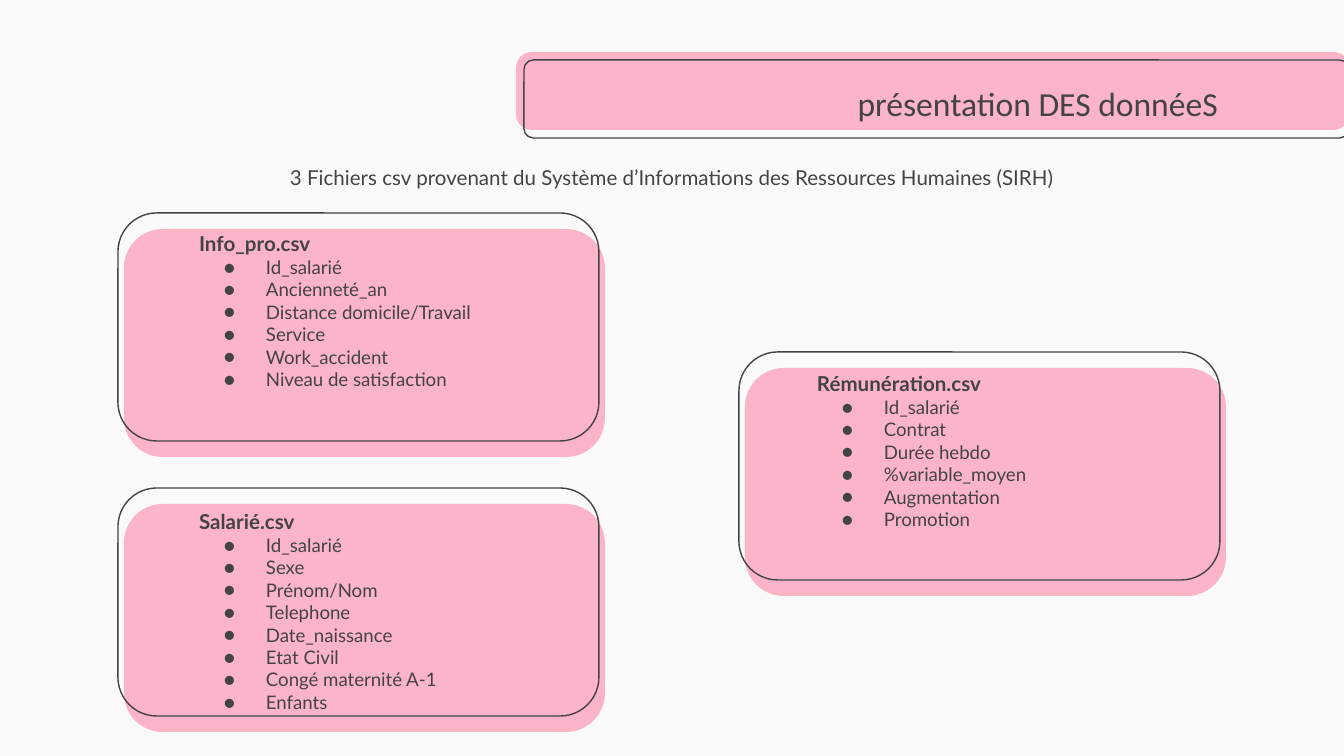
from dataclasses import dataclass

from lxml.etree import SubElement
from pptx import Presentation
from pptx.dml.color import RGBColor
from pptx.enum.shapes import MSO_SHAPE
from pptx.enum.text import MSO_ANCHOR, MSO_AUTO_SIZE, PP_ALIGN
from pptx.oxml.ns import qn
from pptx.util import Pt

# Content: lengths in px; "at" is the filled card, "text" its heading corner
TITLE = "présentation DES donnéeS"
SUBTITLE = "3 Fichiers csv provenant du Système d’Informations des Ressources Humaines (SIRH)"
FILES = [
    {"name": "Info_pro.csv", "at": (124, 229), "text": (199, 231),
     "fields": ["Id_salarié", "Ancienneté_an", "Distance domicile/Travail", "Service",
                "Work_accident", "Niveau de satisfaction"]},
    {"name": "Salarié.csv", "at": (124, 504), "text": (199, 509),
     "fields": ["Id_salarié", "Sexe", "Prénom/Nom", "Telephone", "Date_naissance",
                "Etat Civil", "Congé maternité A-1", "Enfants"]},
    {"name": "Rémunération.csv", "at": (745, 368), "text": (817, 371),
     "fields": ["Id_salarié", "Contrat", "Durée hebdo", "%variable_moyen",
                "Augmentation", "Promotion"]},
]


@dataclass(frozen=True)
class Theme:
    background: str = "FAFAFA"
    pink: str = "FCB4C9"
    ink: str = "434343"
    title_font: str = "Calibri"
    body_font: str = "Lato"
    title_size: int = 18
    heading_size: int = 11
    field_size: int = 10
    line_width: float = 0.75


THEME = Theme()
SLIDE = (1344, 756)
CARD = (481, 228)
CARD_OUTLINE_SHIFT = (-6, -16)
TEXT_WIDTH = 378
LINE_HEIGHT = 23
BULLET_INDENT, BULLET_HANG = 67, 42
EMU_PER_PX = 914400 / 134.4


def px(length):
    return round(length * EMU_PER_PX)


def color(name):
    return RGBColor.from_string(name)


def add_panel(page, left, top, width, height, radius, filled):
    panel = page.shapes.add_shape(MSO_SHAPE.ROUNDED_RECTANGLE,
                                  px(left), px(top), px(width), px(height))
    panel.adjustments[0] = radius
    panel.shadow.inherit = False
    if filled:
        panel.fill.solid()
        panel.fill.fore_color.rgb = color(THEME.pink)
        panel.line.fill.background()
    else:
        panel.fill.background()
        panel.line.color.rgb = color(THEME.ink)
        panel.line.width = Pt(THEME.line_width)


def place(box, left, top, width, height, anchor):
    """Position a placeholder in front of the panels and return its text frame."""
    box.left, box.top, box.width, box.height = map(px, (left, top, width, height))
    box.element.getparent().append(box.element)
    frame = box.text_frame
    frame.word_wrap = True
    frame.auto_size = MSO_AUTO_SIZE.NONE
    frame.vertical_anchor = anchor
    frame.margin_left = frame.margin_right = frame.margin_top = frame.margin_bottom = 0
    return frame


def write(para, text, size, font=THEME.body_font, align=PP_ALIGN.LEFT,
          bold=False, bullet=False):
    para.alignment = align
    para.line_spacing = 1.0
    para.space_before = para.space_after = Pt(0)
    props = para._p.get_or_add_pPr()
    props.set("marL", str(px(BULLET_INDENT) if bullet else 0))
    props.set("indent", str(-px(BULLET_HANG) if bullet else 0))
    if bullet:
        SubElement(SubElement(props, qn("a:buClr")), qn("a:srgbClr")).set("val", THEME.ink)
        SubElement(props, qn("a:buFont")).set("typeface", font)
        SubElement(props, qn("a:buChar")).set("char", "●")
    else:
        SubElement(props, qn("a:buNone"))
    span = para.add_run()
    span.text = text
    span.font.name = font
    span.font.size = Pt(size)
    span.font.bold = bold
    span.font.color.rgb = color(THEME.ink)


def main():
    deck = Presentation()
    deck.slide_width, deck.slide_height = map(px, SLIDE)
    # The comparison layout offers a title and four text placeholders
    page = deck.slides.add_slide(deck.slide_layouts.get_by_name("Comparison"))
    page.background.fill.solid()
    page.background.fill.fore_color.rgb = color(THEME.background)
    subtitle, *lists = [box for box in page.placeholders
                        if box.placeholder_format.idx != 0]

    # Title banner, running off the right edge
    add_panel(page, 516, 52, 833, 78, 0.2, True)
    add_panel(page, 524, 60, 825, 78, 0.12, False)
    frame = place(page.shapes.title, 762, 67, 456, 72, MSO_ANCHOR.MIDDLE)
    write(frame.paragraphs[0], TITLE, THEME.title_size, THEME.title_font, PP_ALIGN.RIGHT)

    # Subtitle
    frame = place(subtitle, 0, 160, SLIDE[0], 34, MSO_ANCHOR.MIDDLE)
    write(frame.paragraphs[0], SUBTITLE, THEME.heading_size, align=PP_ALIGN.CENTER)

    # One card per file
    for file, box in zip(FILES, lists):
        left, top = file["at"]
        shift_x, shift_y = CARD_OUTLINE_SHIFT
        add_panel(page, left, top, *CARD, 0.17, True)
        add_panel(page, left + shift_x, top + shift_y, *CARD, 0.17, False)
        height = LINE_HEIGHT * (len(file["fields"]) + 1)
        frame = place(box, *file["text"], TEXT_WIDTH, height, MSO_ANCHOR.TOP)
        write(frame.paragraphs[0], file["name"], THEME.heading_size, bold=True)
        for field in file["fields"]:
            write(frame.add_paragraph(), field, THEME.field_size, bullet=True)

    deck.save("out.pptx")


if __name__ == "__main__":
    main()
